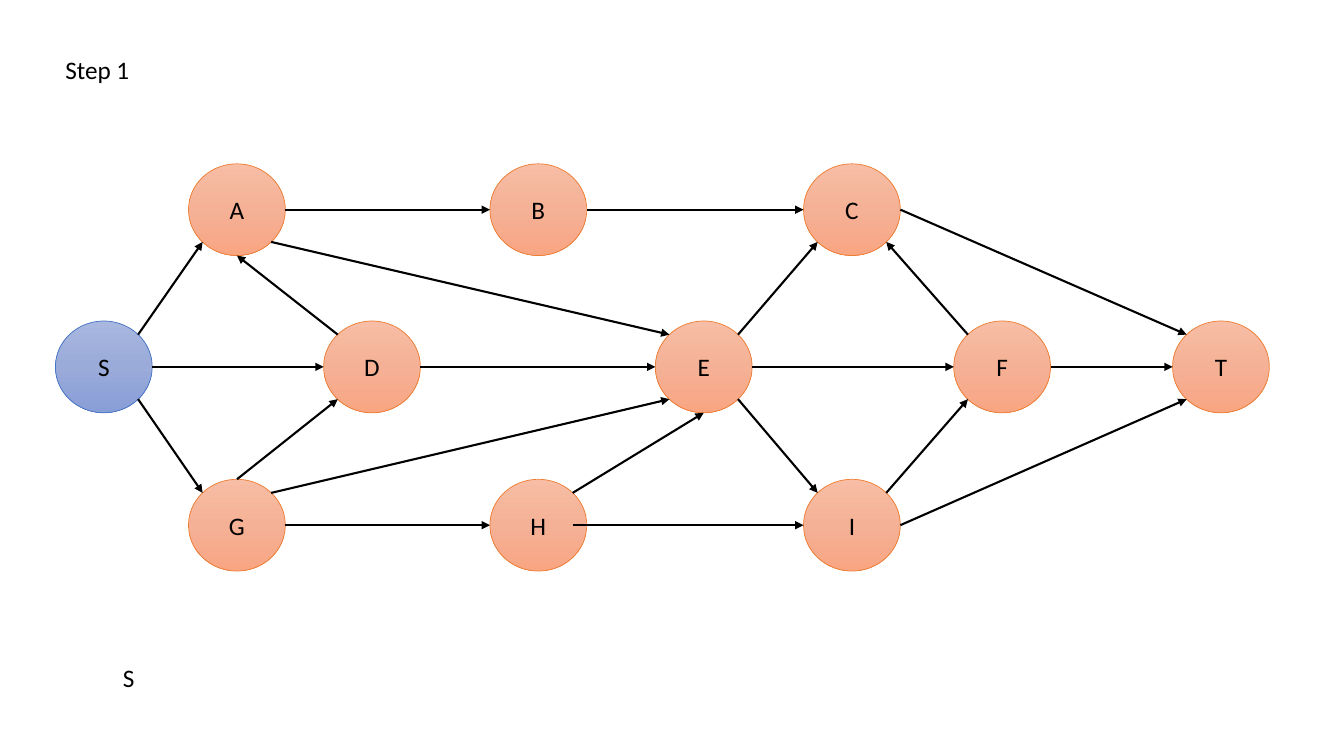
from copy import deepcopy
from dataclasses import dataclass

from lxml.etree import SubElement
from pptx import Presentation
from pptx.dml.color import RGBColor
from pptx.enum.shapes import MSO_CONNECTOR, MSO_SHAPE
from pptx.enum.text import MSO_ANCHOR, MSO_AUTO_SIZE, PP_ALIGN
from pptx.oxml.ns import qn
from pptx.util import Inches, Pt


@dataclass(frozen=True)
class Theme:
    """Colours, type and line sizes of the slide."""
    font: str = "Calibri"
    size: int = 18
    ink: str = "000000"
    blue: tuple = ("A8B7DF", "9AABD9", "889ED7")
    blue_rim: str = "4472C4"
    peach: tuple = ("F7BDA5", "F5B196", "F8A582")
    peach_rim: str = "ED7D31"
    rim: float = 0.5
    edge: float = 1.5


THEME = Theme()
WIDE, HIGH = 0.96, 0.91
TOP, MID, LOW = 2.08, 3.64, 5.21

# Centre of each node
NODES = {
    "S": (1.03, MID), "A": (2.35, TOP), "G": (2.35, LOW), "D": (3.69, MID),
    "H": (5.34, LOW), "B": (5.34, TOP), "E": (6.98, MID), "C": (8.45, TOP),
    "I": (8.45, LOW), "F": (9.94, MID), "T": (12.11, MID),
}

# Offset from a node's centre to each point where an edge may join it
DX, DY = 0.34, 0.32
SITES = {
    "n": (0, -HIGH / 2), "s": (0, HIGH / 2),
    "w": (-WIDE / 2, 0), "e": (WIDE / 2, 0),
    "nw": (-DX, -DY), "ne": (DX, -DY), "sw": (-DX, DY), "se": (DX, DY),
    "inner": (DX, 0),
}

# Start node and site, end node and site
EDGES = [
    "S ne A sw", "S e D w", "S se G nw", "A e B w", "A se E nw",
    "D nw A s", "D e E w", "G n D sw", "G ne E sw", "G e H w",
    "H ne E s", "H inner I w", "B e C w", "E ne C sw", "E e F w",
    "E se I nw", "I ne F sw", "I e T sw", "F nw C se", "F e T w",
    "C e T nw",
]


def tint(code):
    """Turn a hex code into a colour."""
    return RGBColor.from_string(code)


def style(frame, text):
    """Put text in a frame and format its run."""
    frame.text = text
    font = frame.paragraphs[0].runs[0].font
    font.name, font.size = THEME.font, Pt(THEME.size)
    font.color.rgb = tint(THEME.ink)


def blend(shape, codes):
    """Fill a shape with an evenly spaced gradient, top to bottom."""
    fill = shape.fill
    fill.gradient()
    fill.gradient_angle = 270
    first = shape._element.spPr.find(".//" + qn("a:gs"))
    first.addnext(deepcopy(first))
    for i, (stop, code) in enumerate(zip(fill.gradient_stops, codes)):
        stop.position = i / (len(codes) - 1)
        stop.color.rgb = tint(code)


def add_node(slide, name, fill, rim):
    """Draw a labelled node around its centre."""
    x, y = NODES[name]
    node = slide.shapes.add_shape(
        MSO_SHAPE.OVAL, Inches(x - WIDE / 2), Inches(y - HIGH / 2),
        Inches(WIDE), Inches(HIGH))
    node.shadow.inherit = False
    blend(node, fill)
    node.line.color.rgb = tint(rim)
    node.line.width = Pt(THEME.rim)
    frame = node.text_frame
    style(frame, name)
    frame.vertical_anchor = MSO_ANCHOR.MIDDLE
    frame.paragraphs[0].alignment = PP_ALIGN.CENTER


def point(name, site):
    """Give the place of a site on a node."""
    return [Inches(a + b) for a, b in zip(NODES[name], SITES[site])]


def add_edge(slide, start, leave, end, enter):
    """Draw an arrow from one node's site to another's."""
    edge = slide.shapes.add_connector(
        MSO_CONNECTOR.STRAIGHT, *point(start, leave), *point(end, enter))
    edge.line.color.rgb = tint(THEME.ink)
    edge.line.width = Pt(THEME.edge)
    SubElement(edge.line._get_or_add_ln(), qn("a:tailEnd"), type="triangle")
    SubElement(edge._element.spPr, qn("a:effectLst"))


def add_note(slide, text, x, y, wide):
    """Place a one-line text box."""
    box = slide.shapes.add_textbox(
        Inches(x), Inches(y), Inches(wide), Inches(0.4))
    frame = box.text_frame
    frame.word_wrap = False
    frame.auto_size = MSO_AUTO_SIZE.SHAPE_TO_FIT_TEXT
    style(frame, text)


def main():
    """Build and save the graph slide."""
    deck = Presentation()
    deck.slide_width, deck.slide_height = Inches(13.33), Inches(7.5)
    slide = deck.slides.add_slide(deck.slide_layouts[6])
    for name in NODES:
        if name == "S":
            add_node(slide, name, THEME.blue, THEME.blue_rim)
        else:
            add_node(slide, name, THEME.peach, THEME.peach_rim)
    for edge in EDGES:
        add_edge(slide, *edge.split())
    add_note(slide, "Step 1", 0.55, 0.49, 0.84)
    add_note(slide, "S ", 1.12, 6.52, 0.38)
    deck.save("out.pptx")


main()
